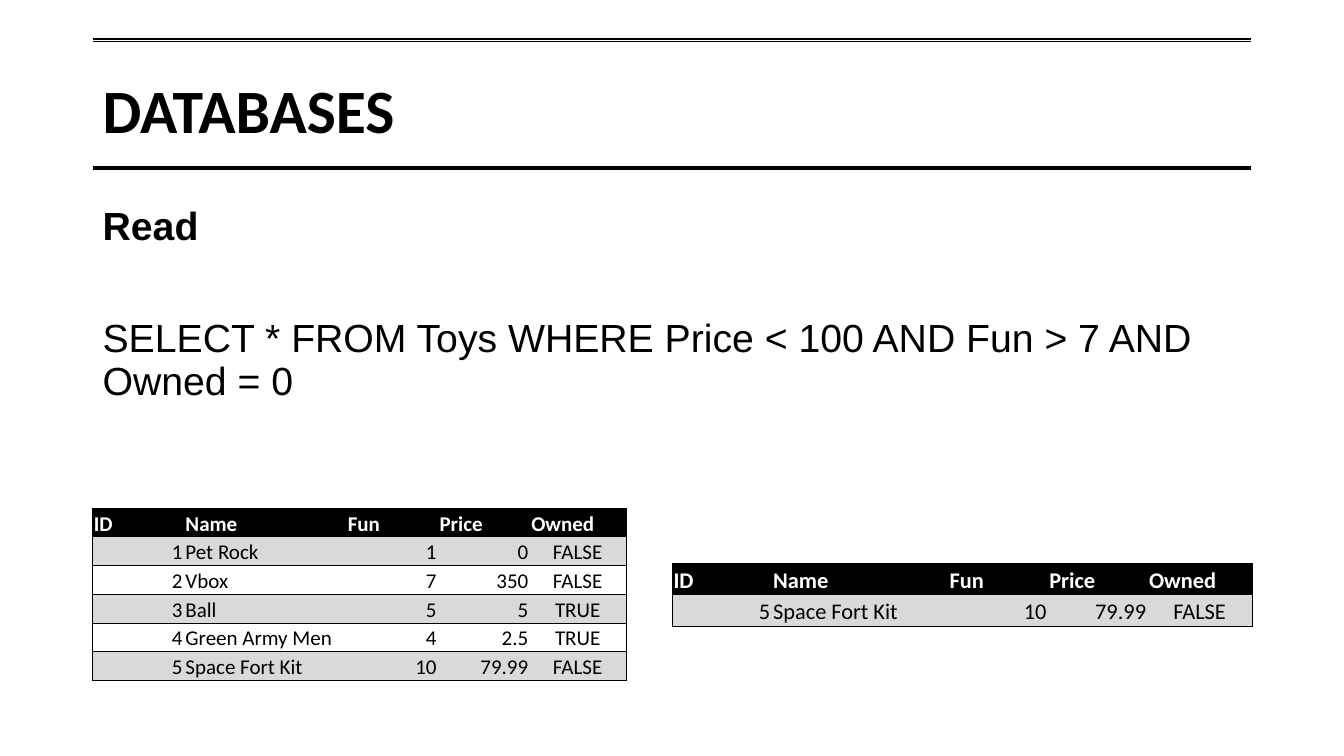
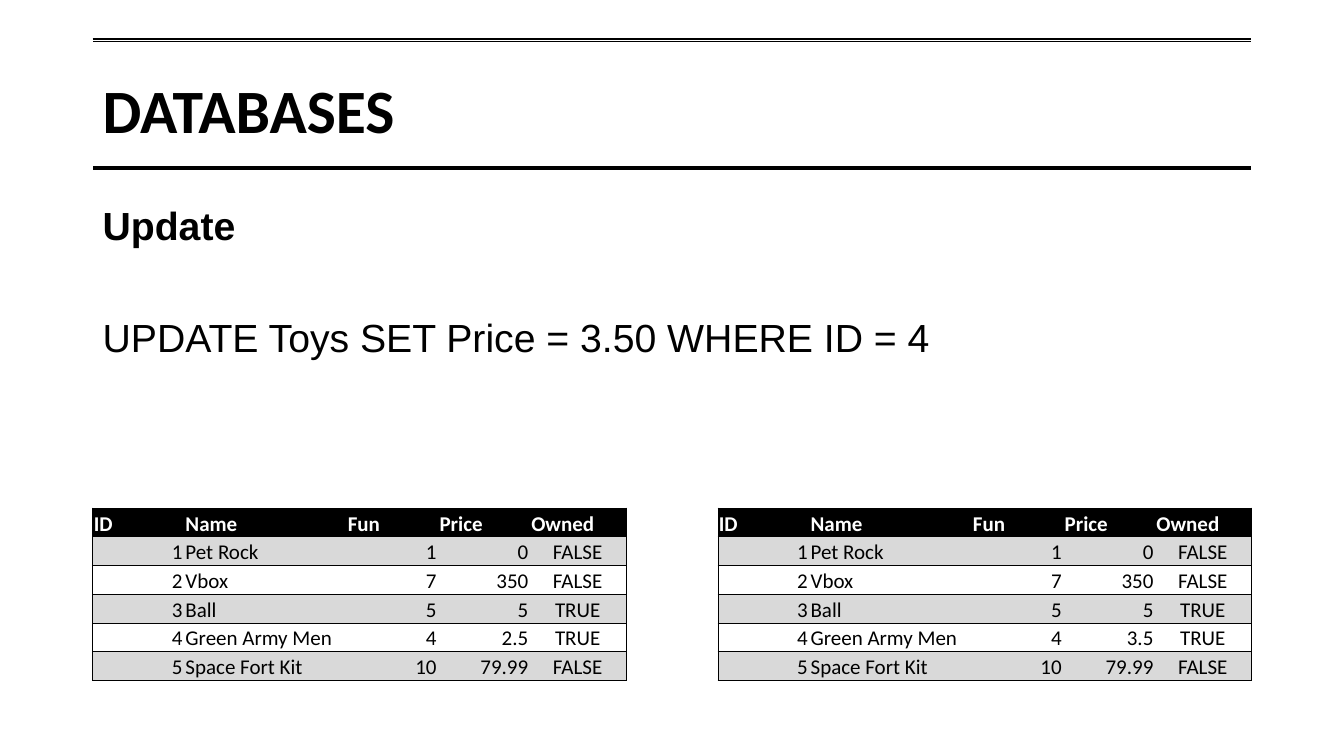
from pptx import Presentation
from pptx.dml.color import RGBColor
from pptx.enum.shapes import MSO_CONNECTOR
from pptx.enum.text import MSO_ANCHOR as Anchor, PP_ALIGN as Align
from pptx.oxml import parse_xml
from pptx.oxml.ns import nsdecls
from pptx.util import Emu, Pt

# Content
TITLE = "DATABASES"
HEADERS = ["ID", "Name", "Fun", "Price", "Owned"]
TOYS = [
    ["1", "Pet Rock", "1", "0", "FALSE"],
    ["2", "Vbox", "7", "350", "FALSE"],
    ["3", "Ball", "5", "5", "TRUE"],
    ["4", "Green Army Men", "4", "2.5", "TRUE"],
    ["5", "Space Fort Kit", "10", "79.99", "FALSE"],
]
UPDATED_TOYS = [row[:3] + ["3.5"] + row[4:] if row[0] == "4" else row for row in TOYS]

# Table boxes are left, top, width, height in px
LEFT_TABLE = {"box": (92, 504, 529, 171), "size": 15}
RIGHT_TABLE = {**LEFT_TABLE, "box": (712, 504, 529, 171)}
RESULT_TABLE = {"box": (667, 559, 575, 62), "size": 16}
SLIDES = [
    {
        "heading": "Read",
        "query": "SELECT * FROM Toys WHERE Price < 100 AND Fun > 7 AND Owned = 0",
        "tables": [(LEFT_TABLE, TOYS), (RESULT_TABLE, TOYS[4:])],
    },
    {
        "heading": "Update",
        "query": "UPDATE Toys SET Price = 3.50 WHERE ID = 4",
        "tables": [(LEFT_TABLE, TOYS), (RIGHT_TABLE, UPDATED_TOYS)],
    },
]

# Shared style
PX = 9144  # 100 px to the inch
COLORS = {"black": "000000", "white": "FFFFFF", "band": "D9D9D9"}
RULE_TOPS = (40, 167)
RULE_LEFT, RULE_RIGHT = 92, 1241
TITLE_BOX = (92, 40, 1149, 145)
BODY_BOX = (92, 200, 1150, 476)
COLUMN_WEIGHTS = (91, 161, 91, 91, 95)
COLUMN_ALIGNS = (Align.RIGHT, Align.LEFT, Align.RIGHT, Align.RIGHT, Align.CENTER)
CELL_INSETS = (1, 1, 2, 0)  # left, top, right, bottom
TITLE_FONT = {"name": "Calibri", "size": Pt(44), "bold": True}
HEADING_FONT = {"name": "Arial", "size": Pt(28), "bold": True}
QUERY_FONT = {**HEADING_FONT, "bold": False}


def px(*lengths):
    return [Emu(round(length * PX)) for length in lengths]


def color(name):
    return RGBColor.from_string(COLORS[name])


def set_attributes(target, values):
    for name, value in values.items():
        setattr(target, name, value)


def write(paragraph, text, font, color_name="black", **layout):
    set_attributes(paragraph, layout)
    run = paragraph.add_run()
    run.text = text
    set_attributes(run.font, font)
    run.font.color.rgb = color(color_name)


def add_rule(slide, top):
    left, right, height = px(RULE_LEFT, RULE_RIGHT, top)
    rule = slide.shapes.add_connector(MSO_CONNECTOR.STRAIGHT, left, height, right, height)
    rule.line.width = Pt(3)
    rule.line.color.rgb = color("black")
    rule._element.spPr.append(parse_xml(f"<a:effectLst {nsdecls('a')}/>"))


def add_title(slide):
    shape = slide.shapes.add_textbox(*px(*TITLE_BOX))
    shape.line.width = Pt(0.75)
    shape.line.color.rgb = color("white")
    frame = shape.text_frame
    set_attributes(frame, {"word_wrap": True, "vertical_anchor": Anchor.MIDDLE})
    write(frame.paragraphs[0], TITLE, TITLE_FONT, line_spacing=0.9)


def add_body(slide, heading, query):
    frame = slide.shapes.add_textbox(*px(*BODY_BOX)).text_frame
    frame.word_wrap = True
    write(frame.paragraphs[0], heading, HEADING_FONT, line_spacing=0.9, space_before=Pt(10))
    write(frame.add_paragraph(), query, QUERY_FONT, line_spacing=0.9, space_before=Pt(50))


def add_borders(cell, sides):
    # Borders come before the fill in the cell properties
    properties = cell._tc.get_or_add_tcPr()
    for index, side in enumerate(sides):
        properties.insert(index, parse_xml(
            f'<a:{side} {nsdecls("a")} w="6350"><a:solidFill>'
            f'<a:srgbClr val="{COLORS["black"]}"/></a:solidFill></a:{side}>'))


def fill_cell(cell, text, row, column, size):
    is_header = row == 0
    left, top, right, bottom = px(*CELL_INSETS)
    set_attributes(cell, {
        "margin_left": left, "margin_top": top, "margin_right": right,
        "margin_bottom": bottom, "vertical_anchor": Anchor.BOTTOM,
    })
    if is_header or row % 2:
        cell.fill.solid()
        cell.fill.fore_color.rgb = color("black" if is_header else "band")
    else:
        cell.fill.background()
    write(cell.text_frame.paragraphs[0], text,
          {"name": "Calibri", "size": Pt(size), "bold": is_header},
          "white" if is_header else "black",
          alignment=Align.LEFT if is_header else COLUMN_ALIGNS[column])
    outer = {0: ["lnL"], len(HEADERS) - 1: ["lnR"]}.get(column, [])
    add_borders(cell, outer + ["lnT", "lnB"])


def add_toy_table(slide, box, size, toys):
    rows = [HEADERS] + toys
    width, height = box[2:]
    frame = slide.shapes.add_table(len(rows), len(HEADERS), *px(*box))
    table = frame.table
    set_attributes(table, {"first_row": False, "horz_banding": False})
    for column, weight in zip(table.columns, COLUMN_WEIGHTS):
        column.width, = px(width * weight / sum(COLUMN_WEIGHTS))
    for row_index, values in enumerate(rows):
        table.rows[row_index].height, = px(height / len(rows))
        for column_index, text in enumerate(values):
            fill_cell(table.cell(row_index, column_index), text,
                      row_index, column_index, size)
    # Plain style without a grid
    frame._element.graphic.graphicData.tbl.tblPr.find(
        "{*}tableStyleId").text = "{2D5ABB26-0587-4C30-8999-92F81FD0307C}"


def main():
    presentation = Presentation()
    presentation.slide_width, presentation.slide_height = px(1333, 750)
    for content in SLIDES:
        slide = presentation.slides.add_slide(presentation.slide_layouts[6])
        for top in RULE_TOPS:
            add_rule(slide, top)
        add_title(slide)
        add_body(slide, content["heading"], content["query"])
        for style, toys in content["tables"]:
            add_toy_table(slide, **style, toys=toys)
    presentation.save("out.pptx")


if __name__ == "__main__":
    main()
